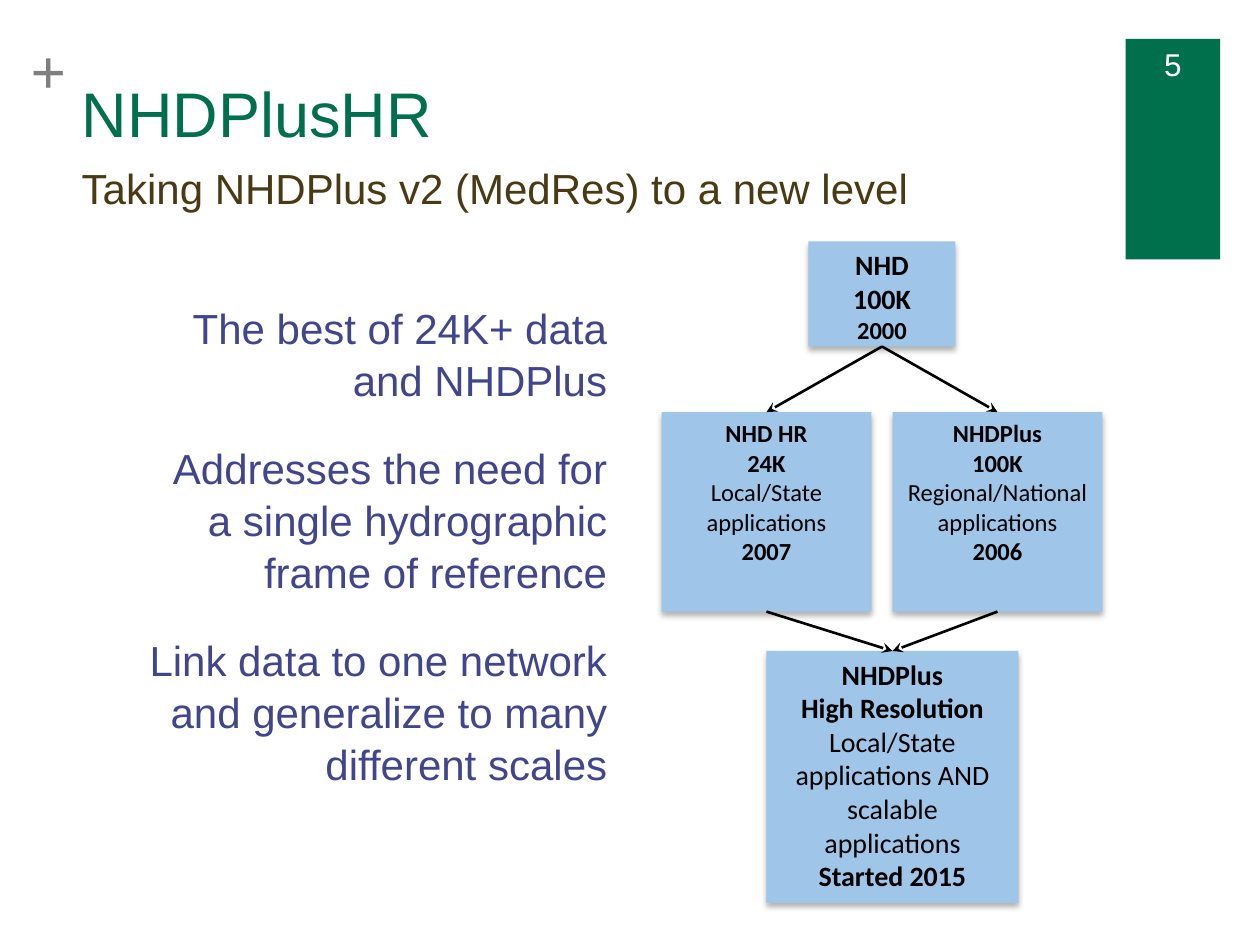
from lxml.etree import SubElement
from pptx import Presentation
from pptx.dml.color import RGBColor
from pptx.enum.shapes import MSO_CONNECTOR, MSO_SHAPE
from pptx.enum.text import MSO_ANCHOR, PP_ALIGN
from pptx.oxml.ns import qn
from pptx.util import Inches, Pt

CELL = Inches(1) / 12  # the slide is a grid of 120 columns by 90 rows
GREEN, BROWN, INDIGO = "006F4B", "493A13", "40458C"
GREY, WHITE, BLACK, SKY = "7F7F7F", "FFFFFF", "000000", "9FC5E8"
BOTTOM_SIDE, TOP_SIDE = 2, 0


def color(hex_code):
    return RGBColor.from_string(hex_code)


def grid(*cells):
    return [round(CELL * cell) for cell in cells]


def style(paragraph, size, hex_code, font="Arial", bold=False, align=PP_ALIGN.LEFT):
    paragraph.alignment = align
    paragraph.font.size = Pt(size)
    paragraph.font.name = font
    paragraph.font.bold = bold
    paragraph.font.color.rgb = color(hex_code)


def add_text(slide, area, lines, size, hex_code, anchor=MSO_ANCHOR.TOP,
             inset=True, gap=0, spacing=None, **look):
    frame = slide.shapes.add_textbox(*grid(*area)).text_frame
    frame.word_wrap = True
    frame.vertical_anchor = anchor
    if not inset:
        frame.margin_left = frame.margin_right = 0
        frame.margin_top = frame.margin_bottom = 0
    frame.text = "\n".join(lines)
    for index, paragraph in enumerate(frame.paragraphs):
        style(paragraph, size, hex_code, **look)
        if spacing:
            paragraph.line_spacing = spacing
        if index:
            paragraph.space_before = Pt(gap)


def add_block(slide, area, fill):
    block = slide.shapes.add_shape(MSO_SHAPE.RECTANGLE, *grid(*area))
    block.shadow.inherit = False
    block.fill.solid()
    block.fill.fore_color.rgb = color(fill)
    block.line.fill.background()
    return block


def add_soft_shadow(block):
    effects = block._element.spPr.find(qn("a:effectLst"))
    shadow = SubElement(effects, qn("a:outerShdw"), blurRad=str(Pt(3.5)),
                        dist=str(Pt(2.2)), dir="5400000", rotWithShape="0")
    tint = SubElement(shadow, qn("a:srgbClr"), val=BLACK)
    SubElement(tint, qn("a:alpha"), val="31000")


def add_dataset(slide, area, lines):
    """Draw a dataset box from (text, size, bold) lines."""
    dataset = add_block(slide, area, SKY)
    add_soft_shadow(dataset)
    frame = dataset.text_frame
    frame.word_wrap = True
    frame.vertical_anchor = MSO_ANCHOR.TOP
    frame.text = "\n".join(text for text, _, _ in lines)
    for paragraph, (_, size, bold) in zip(frame.paragraphs, lines):
        style(paragraph, size, BLACK, "Calibri", bold, PP_ALIGN.CENTER)
    return dataset


def add_arrow(slide, source, target):
    arrow = slide.shapes.add_connector(MSO_CONNECTOR.STRAIGHT, 0, 0, 0, 0)
    arrow.begin_connect(source, BOTTOM_SIDE)
    arrow.end_connect(target, TOP_SIDE)
    arrow.line.color.rgb = color(BLACK)
    arrow.line.width = Pt(1.5)
    SubElement(arrow.line._get_or_add_ln(), qn("a:tailEnd"), type="stealth")
    SubElement(arrow._element.spPr, qn("a:effectLst"))


def add_header(slide):
    add_block(slide, (107.2, 3.7, 9, 21), GREEN)
    add_text(slide, (107.2, 3.7, 9, 4.8), ["5"], 18, WHITE, align=PP_ALIGN.CENTER)
    add_text(slide, (2.9, 3, 3.5, 14.5), ["+"], 36, GREY, inset=False,
             font="Times New Roman", bold=True)
    add_text(slide, (6.6, 1.8, 99.2, 13.1), ["NHDPlusHR"], 36, GREEN,
             anchor=MSO_ANCHOR.BOTTOM)
    add_text(slide, (6.6, 14.9, 99.2, 10.2),
             ["Taking NHDPlus v2 (MedRes) to a new level"], 24, BROWN)


def add_lineage(slide):
    origin = add_dataset(slide, (77, 23, 14, 10), [
        ("NHD", 16, True), ("100K", 16, True), ("2000", 14, True)])
    branches = [
        add_dataset(slide, (column, 39.25, 20, 19), [
            (name, 14, True), (scale, 14, True),
            *((line, 14, False) for line in uses), (year, 14, True)])
        for column, name, scale, uses, year in (
            (63, "NHD HR", "24K", ["Local/State", "applications"], "2007"),
            (85, "NHDPlus", "100K", ["Regional/National applications"], "2006"))]
    merged = add_dataset(slide, (73, 62, 24, 24), [
        ("NHDPlus", 16, True), ("High Resolution", 16, True),
        ("Local/State applications AND scalable applications", 16, False),
        ("Started 2015", 16, True)])
    for branch in branches:
        add_arrow(slide, origin, branch)
        add_arrow(slide, branch, merged)


def main():
    deck = Presentation()
    deck.slide_width, deck.slide_height = grid(120, 90)
    slide = deck.slides.add_slide(deck.slide_layouts[6])
    add_header(slide)
    add_text(slide, (13, 28, 46, 54.4), [
        "The best of 24K+ data and NHDPlus",
        "Addresses the need for a single hydrographic frame of reference",
        "Link data to one network and generalize to many different scales",
    ], 24, INDIGO, gap=20, spacing=1.04, align=PP_ALIGN.RIGHT)
    add_lineage(slide)
    deck.save("out.pptx")


if __name__ == "__main__":
    main()
